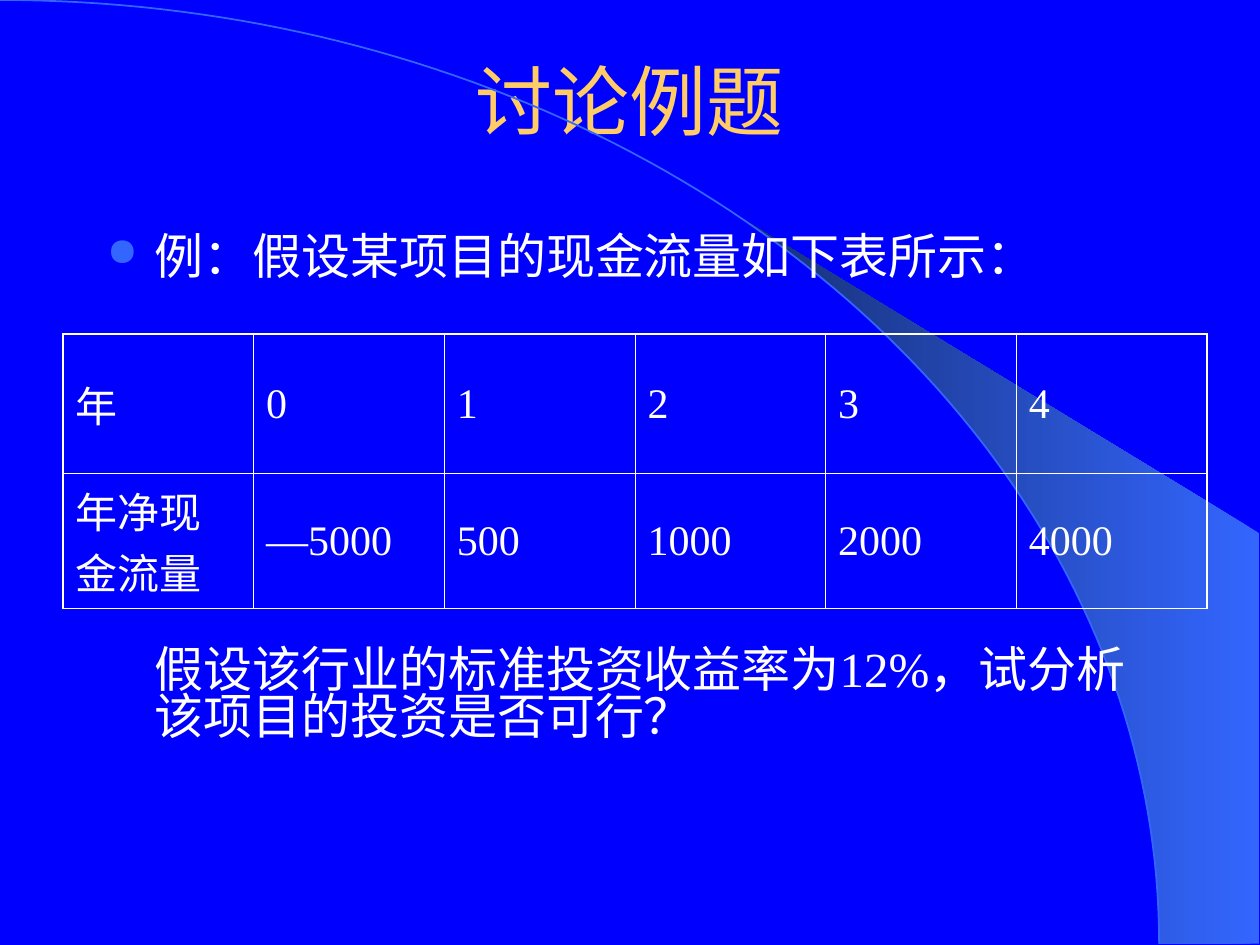
from dataclasses import dataclass
from math import cos, radians, sin

from lxml import etree
from pptx import Presentation
from pptx.dml.color import RGBColor
from pptx.enum import text
from pptx.oxml import ns
from pptx.util import Inches, Pt


@dataclass(frozen=True)
class Theme:
    background: str = "0000FF"
    title: str = "FFCC66"
    body: str = "FFFFFF"
    accent: str = "3366FF"
    shade: str = "172F75"
    title_font: str = "Arial"
    body_font: str = "Times New Roman"
    title_size: int = 44
    body_size: int = 28
    table_size: int = 24
    outer_border: float = 1.08
    inner_border: float = 0.45


THEME = Theme()

CASH_FLOWS = [
    ["年", "0", "1", "2", "3", "4"],
    ["年净现金流量", "—5000", "500", "1000", "2000", "4000"],
]


def rgb(color):
    return RGBColor.from_string(color)


def sub(parent, tag, **attrs):
    return etree.SubElement(parent, ns.qn(tag), attrs)


def add_run(p, content, size, color, font):
    r = p.add_run()
    r.text = content
    r.font.size = Pt(size)
    r.font.name = font
    r.font.color.rgb = rgb(color)


def arc_points(start, end, steps):
    """Points on the quarter ellipse, by angle in degrees from its top."""
    angles = [radians(start + (end - start) * i / steps) for i in range(steps + 1)]
    return [(9.2 * sin(a), 7.49 * (1 - cos(a))) for a in angles]


def add_outline(s, points, close):
    start, *rest = [(Inches(x), Inches(y)) for x, y in points]
    builder = s.shapes.build_freeform(*start)
    builder.add_line_segments(rest, close=close)
    sp = builder.convert_to_shape()
    sp.shadow.inherit = False
    return sp


def add_backdrop(s):
    # Gradient beam between the arc and the right edge
    beam = add_outline(s, arc_points(39.8, 90, 24) + [(9.99, 7.49), (9.99, 4.23)], True)
    beam.line.fill.background()
    beam.fill.gradient()
    beam.fill.gradient_angle = 180
    for stop, color in zip(beam.fill.gradient_stops, (THEME.accent, THEME.shade)):
        stop.color.rgb = rgb(color)

    # Thin arc
    arc = add_outline(s, arc_points(0, 90, 90), False)
    arc.fill.background()
    arc.line.color.rgb = rgb(THEME.accent)
    arc.line.width = Pt(1)


def add_title(s, content):
    title = s.shapes.title
    title.left, title.top = Inches(0.75), Inches(0.17)
    title.width, title.height = Inches(8.5), Inches(1.25)
    tf = title.text_frame
    tf.vertical_anchor = text.MSO_ANCHOR.MIDDLE
    p = tf.paragraphs[0]
    p.alignment = text.PP_ALIGN.CENTER
    add_run(p, content, THEME.title_size, THEME.title, THEME.title_font)


def add_body_text(s, top, height, content, bullet=False):
    sp = s.shapes.add_textbox(Inches(0.75), Inches(top), Inches(8.5), Inches(height))
    tf = sp.text_frame
    tf.word_wrap = True
    p = tf.paragraphs[0]
    pPr = p._p.get_or_add_pPr()
    pPr.set("marL", str(Inches(0.38)))
    pPr.set("indent", str(Inches(-0.38) if bullet else 0))
    if bullet:
        sub(sub(pPr, "a:buClr"), "a:srgbClr", val=THEME.accent)
        sub(pPr, "a:buSzPct", val="80000")
        sub(pPr, "a:buChar", char="●")
    p.line_spacing = 0.8
    add_run(p, content, THEME.body_size, THEME.body, THEME.body_font)


def set_borders(cell, outer_sides):
    tcPr = cell._tc.get_or_add_tcPr()
    for i, side in enumerate("LRTB"):
        width = THEME.outer_border if side in outer_sides else THEME.inner_border
        ln = etree.Element(ns.qn(f"a:ln{side}"), w=str(Pt(width)))
        sub(sub(ln, "a:solidFill"), "a:srgbClr", val=THEME.body)
        tcPr.insert(i, ln)


def add_cash_flow_table(s, rows):
    n_rows, n_cols = len(rows), len(rows[0])
    frame = s.shapes.add_table(n_rows, n_cols, Inches(0.5), Inches(2.65),
                               Inches(9.08), Inches(2.18))
    table = frame.table
    table.first_row = table.horz_banding = False
    for row, height in zip(table.rows, (1.11, 1.07)):
        row.height = Inches(height)
    for i, values in enumerate(rows):
        for j, value in enumerate(values):
            cell = table.cell(i, j)
            cell.fill.background()
            cell.vertical_anchor = text.MSO_ANCHOR.MIDDLE
            edges = {"L": j == 0, "R": j == n_cols - 1,
                     "T": i == 0, "B": i == n_rows - 1}
            set_borders(cell, [side for side, outer in edges.items() if outer])
            add_run(cell.text_frame.paragraphs[0], value,
                    THEME.table_size, THEME.body, THEME.body_font)


def main():
    prs = Presentation()
    prs.slide_width, prs.slide_height = Inches(10), Inches(7.5)
    s = prs.slides.add_slide(prs.slide_layouts[5])
    s.background.fill.solid()
    s.background.fill.fore_color.rgb = rgb(THEME.background)

    add_backdrop(s)
    add_title(s, "讨论例题")
    add_body_text(s, 1.83, 0.5, "例：假设某项目的现金流量如下表所示：", bullet=True)
    add_cash_flow_table(s, CASH_FLOWS)
    add_body_text(s, 5.11, 0.9,
                  "假设该行业的标准投资收益率为12%，试分析该项目的投资是否可行？")

    prs.save("out.pptx")


if __name__ == "__main__":
    main()
